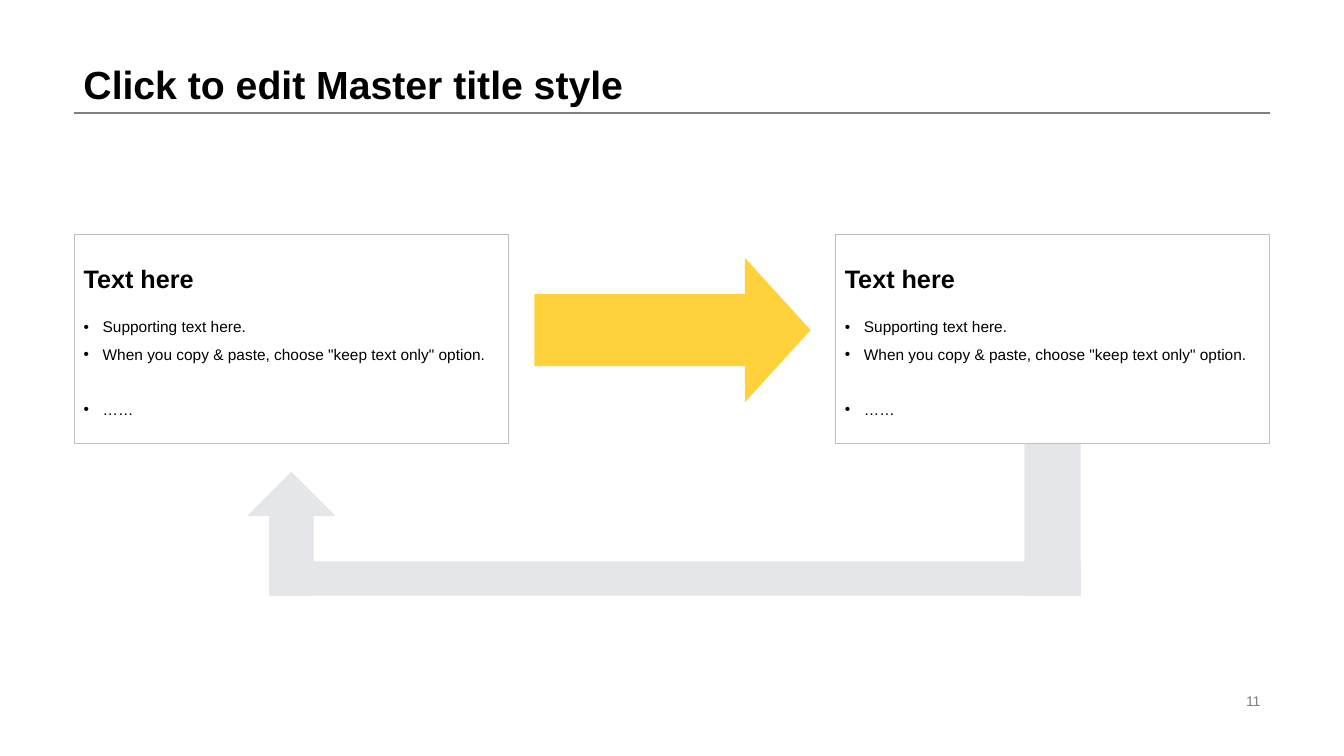
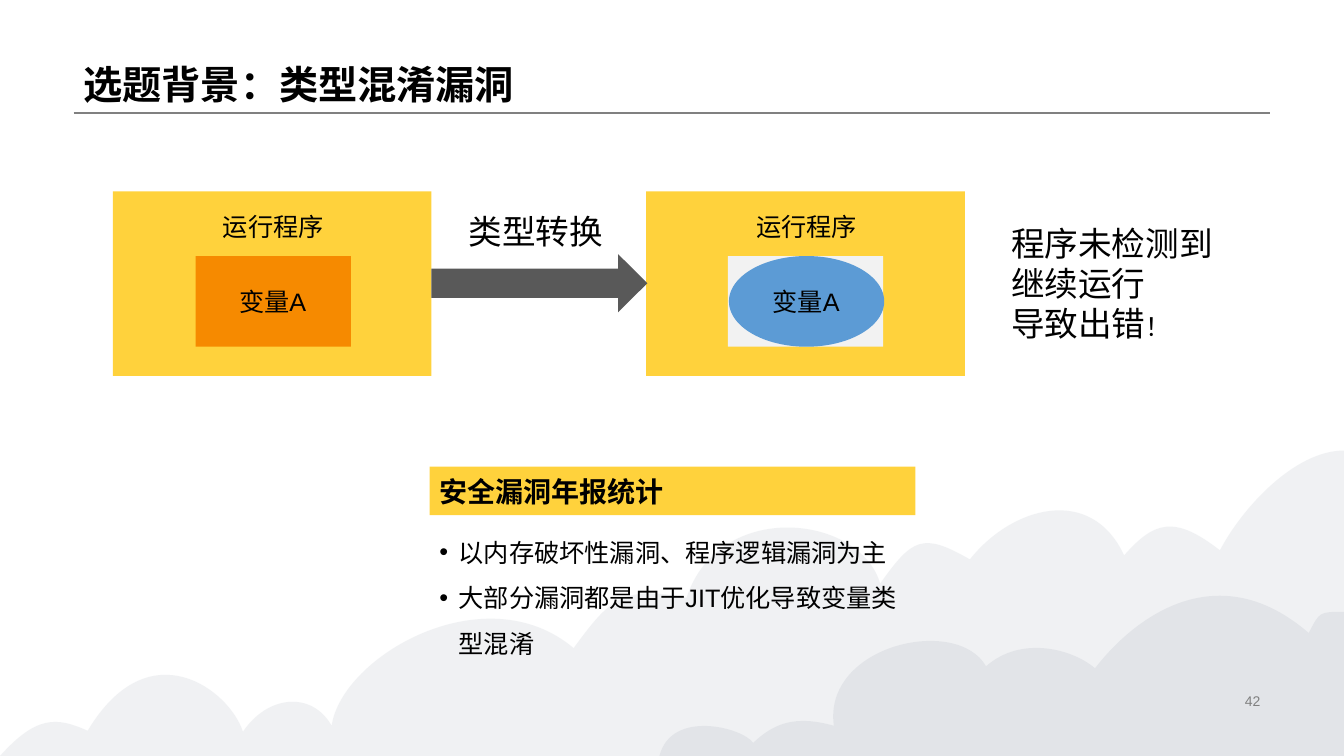
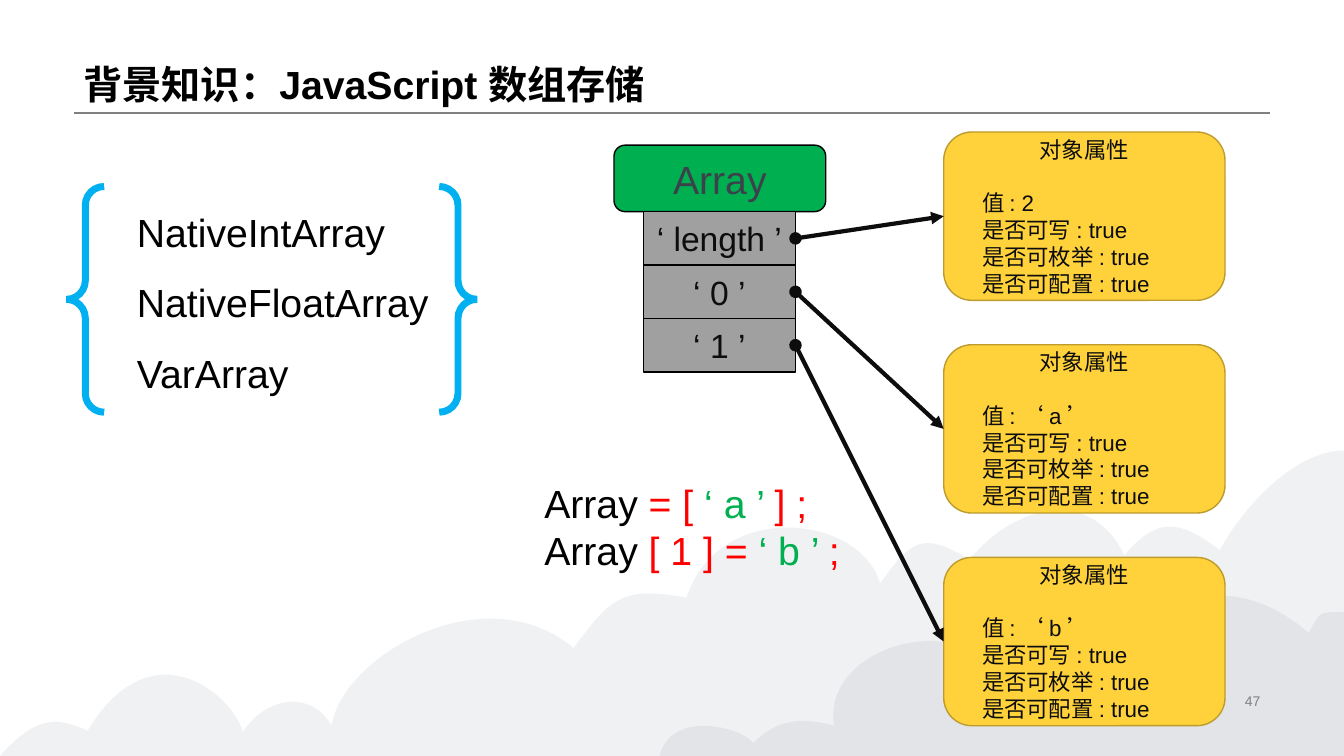
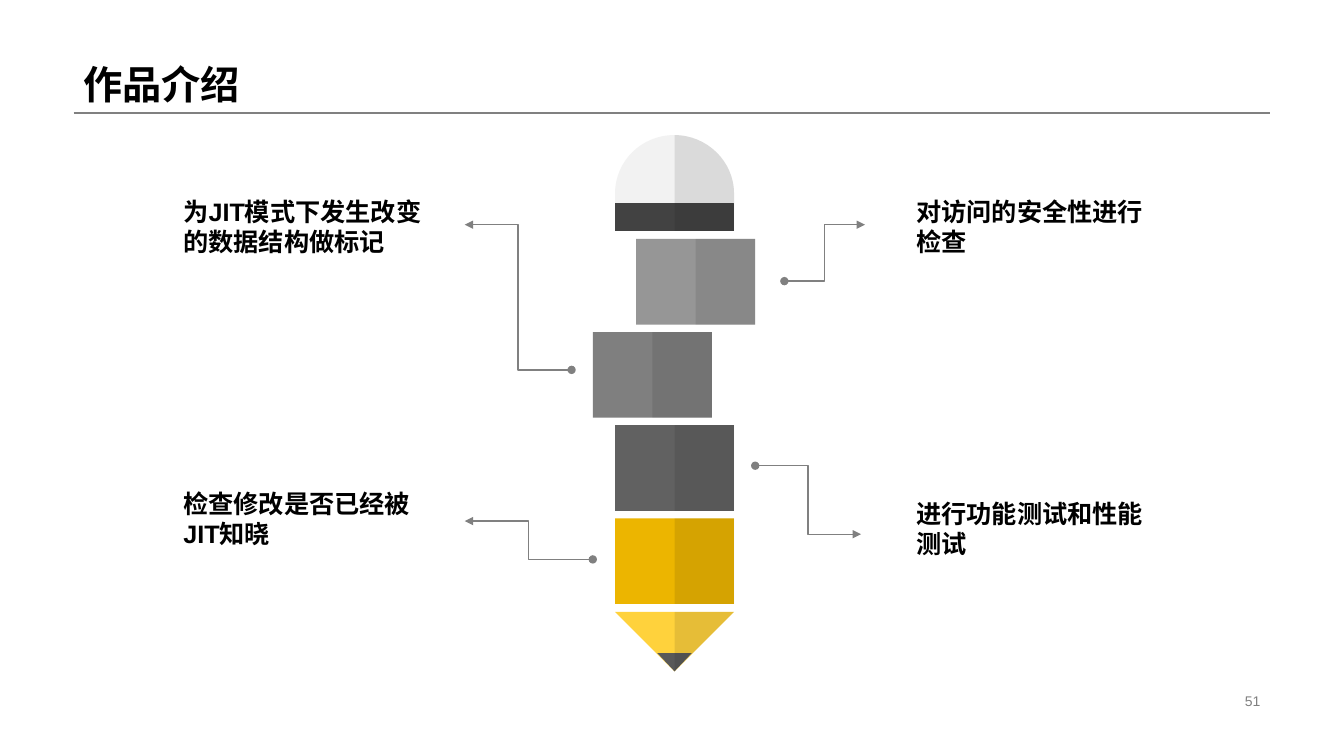
from pptx import Presentation
from pptx.dml.color import RGBColor
from pptx.enum.shapes import MSO_CONNECTOR as LINK, MSO_SHAPE as SHAPE
from pptx.enum.text import MSO_ANCHOR as ANCHOR, PP_ALIGN as ALIGN
from pptx.oxml.ns import qn
from pptx.util import Emu, Pt
from lxml.etree import SubElement

PX = 9144
WIDTH, HEIGHT = 1333, 750
FONT = "Arial"
BLACK, INK, GRAY, DARK = "000000", "0D0D0D", "808080", "595959"
YELLOW, MIST, GREEN, RED = "FFD23C", "E4E6EA", "00B050", "FF0000"

BACK_CLOUD = [
    (1333, 447), (1284, 447, 1232, 504, 1210, 546), (1165, 511, 1145, 517, 1115, 551),
    (1082, 480, 1003, 503, 962, 555), (915, 528, 905, 534, 873, 579),
    (853, 510, 713, 495, 681, 593), (617, 581, 605, 594, 569, 643),
    (481, 569, 339, 651, 329, 720), (309, 685, 265, 690, 241, 726),
    (228, 685, 148, 623, 87, 725), (56, 711, 36, 710, 0, 750), (1333, 750), (1333, 447),
]
FRONT_CLOUD = [
    (1333, 607), (1308, 607, 1309, 607, 1298, 628), (1209, 551, 1127, 610, 1086, 663),
    (1064, 644, 1013, 630, 978, 661), (949, 610, 816, 640, 827, 720),
    (788, 709, 767, 718, 747, 737), (737, 722, 666, 703, 654, 750), (1333, 750), (1333, 607),
]


def px(*lengths):
    return [Emu(round(length * PX)) for length in lengths]


def rgb(code):
    return RGBColor.from_string(code)


def paint(shape, fill=None, line=None, weight=1, opacity=None):
    shape.shadow.inherit = False
    if fill:
        shape.fill.solid()
        shape.fill.fore_color.rgb = rgb(fill)
        if opacity:
            color = shape.element.spPr.find(".//" + qn("a:srgbClr"))
            SubElement(color, qn("a:alpha"), val=str(opacity * 1000))
    else:
        shape.fill.background()
    if line:
        shape.line.color.rgb = rgb(line)
        shape.line.width = Pt(weight)
    else:
        shape.line.fill.background()
    return shape


def add_block(slide, kind, box, fill=None, **style):
    return paint(slide.shapes.add_shape(kind, *px(*box)), fill, **style)


def add_outline(slide, box, steps, fill, opacity=None):
    left, top, width, height = box
    right, bottom = left + width, top + height
    builder = slide.shapes.build_freeform(*px(left, top), scale=1.0)
    builder.add_line_segments([px(right, top), px(right, bottom), px(left, bottom)])
    shape = builder.convert_to_shape()
    route = shape.element.spPr.find(".//" + qn("a:path"))
    for corner in list(route):
        route.remove(corner)
    for index, step in enumerate(steps):
        tag = "a:moveTo" if index == 0 else "a:lnTo" if len(step) == 2 else "a:cubicBezTo"
        move = SubElement(route, qn(tag))
        for x, y in zip(step[::2], step[1::2]):
            across, down = px(x - left, y - top)
            SubElement(move, qn("a:pt"), x=str(across), y=str(down))
    SubElement(route, qn("a:close"))
    return paint(shape, fill, opacity=opacity)


def write(shape, lines, size, color=BLACK, bold=False, align=ALIGN.LEFT,
          anchor=ANCHOR.TOP, spacing=None, bullets=False):
    frame = shape.text_frame
    frame.word_wrap = True
    frame.vertical_anchor = anchor
    for index, line in enumerate(lines):
        paragraph = frame.paragraphs[0] if index == 0 else frame.add_paragraph()
        if bullets:
            properties = paragraph._p.get_or_add_pPr()
            properties.set("marL", str(19 * PX))
            properties.set("indent", str(-19 * PX))
            SubElement(properties, qn("a:buFont"), typeface=FONT)
            SubElement(properties, qn("a:buChar"), char="•")
        paragraph.alignment = align
        paragraph.line_spacing = spacing
        font = paragraph.font
        font.name, font.size, font.bold = FONT, Pt(size), bold
        font.color.rgb = rgb(color)
        if isinstance(line, str):
            paragraph.add_run().text = line
            continue
        for text, run_color, run_size in line:
            run = paragraph.add_run()
            run.text = text
            run.font.color.rgb = rgb(run_color)
            run.font.size = Pt(run_size)
    return frame.paragraphs


def add_text(slide, box, lines, size, **style):
    return write(slide.shapes.add_textbox(*px(*box)), lines, size, **style)


def add_link(slide, kind, start, end, color, weight, arrow=True):
    link = slide.shapes.add_connector(kind, *px(*start, *end))
    link.line.color.rgb = rgb(color)
    link.line.width = Pt(weight)
    if arrow:
        outline = link.line._get_or_add_ln()
        SubElement(outline, qn("a:headEnd"), type="oval")
        SubElement(outline, qn("a:tailEnd"), type="triangle")
    SubElement(link._element.spPr, qn("a:effectLst"))
    return link


def start_slide(deck, title, number, clouds=False):
    slide = deck.slides.add_slide(deck.slide_layouts[6])
    add_link(slide, LINK.STRAIGHT, (73, 112), (1260, 112), GRAY, 1, arrow=False)
    if clouds:
        add_outline(slide, (0, 447, 1333, 303), BACK_CLOUD, MIST, opacity=53)
        add_outline(slide, (654, 591, 679, 159), FRONT_CLOUD, "C9CED5", opacity=35)
    add_text(slide, (73, 0, 1187, 112), [title], 28, bold=True,
             anchor=ANCHOR.BOTTOM, spacing=0.9)
    add_text(slide, (942, 684, 318, 23), [str(number)], 10, color=GRAY,
             align=ALIGN.RIGHT, anchor=ANCHOR.MIDDLE)
    return slide


def add_card(slide, left):
    add_block(slide, SHAPE.RECTANGLE, (left, 232, 430, 208), line="BFBFBF", weight=0.5)
    points = ["Supporting text here.",
              'When you copy & paste, choose "keep text only" option.', "……"]
    paragraphs = add_text(slide, (left - 1, 301, 431, 128), points, 11,
                          spacing=1.5, bullets=True)
    paragraphs[-1].space_before = Pt(19.5)
    add_text(slide, (left - 1, 251, 431, 50), ["Text here"], 18, bold=True,
             anchor=ANCHOR.MIDDLE)


def build_cycle(deck):
    slide = start_slide(deck, "Click to edit Master title style", 11)
    add_block(slide, SHAPE.RECTANGLE, (1016, 440, 56, 151), MIST)
    for left in (74, 829):
        add_card(slide, left)
    forward = add_block(slide, SHAPE.RIGHT_ARROW, (530, 256, 274, 143), YELLOW)
    forward.adjustments[1] = 0.455
    add_block(slide, SHAPE.UP_ARROW, (245, 468, 88, 123), MIST)
    add_block(slide, SHAPE.RECTANGLE, (268, 557, 804, 34), MIST)


def add_program(slide, left, variable, color):
    add_block(slide, SHAPE.RECTANGLE, (left, 190, 316, 183), YELLOW)
    add_text(slide, (left + 82, 205, 154, 40), ["运行程序"], 18, align=ALIGN.CENTER)
    if variable == SHAPE.OVAL:
        add_block(slide, SHAPE.RECTANGLE, (left + 81, 254, 154, 90), "F2F2F2")
    add_block(slide, variable, (left + 82, 254, 154, 90), color)
    add_text(slide, (left + 110, 279, 97, 40), ["变量A"], 18, align=ALIGN.CENTER)


def build_confusion(deck):
    slide = start_slide(deck, "选题背景：类型混淆漏洞", 42, clouds=True)
    add_program(slide, 112, SHAPE.RECTANGLE, "F68A00")
    add_program(slide, 641, SHAPE.OVAL, "5C9BD5")
    add_block(slide, SHAPE.RIGHT_ARROW, (428, 252, 214, 58), DARK)
    add_text(slide, (455, 204, 159, 50), ["类型转换"], 24)
    add_text(slide, (993, 216, 254, 131),
             ["程序未检测到", "继续运行", [("导致出错", BLACK, 24), ("！", BLACK, 18)]], 24)
    heading = add_block(slide, SHAPE.RECTANGLE, (426, 463, 482, 48), YELLOW)
    write(heading, ["安全漏洞年报统计"], 20, bold=True, anchor=ANCHOR.MIDDLE)
    add_text(slide, (426, 513, 482, 180),
             ["以内存破坏性漏洞、程序逻辑漏洞为主", "大部分漏洞都是由于JIT优化导致变量类型混淆"],
             18, spacing=1.5, bullets=True)


def add_attributes(slide, top, value):
    card = add_block(slide, SHAPE.ROUNDED_RECTANGLE, (936, top, 279, 167), YELLOW, line="BD9B2C")
    lines = ["对象属性", f"值 : {value}", "是否可写 : true", "是否可枚举 : true", "是否可配置 : true"]
    heading, *details = write(card, lines, 16, color=INK, anchor=ANCHOR.MIDDLE)
    heading.alignment = ALIGN.CENTER
    details[0].space_before = Pt(19)
    for detail in details:
        detail._p.get_or_add_pPr().set("marL", str(20 * PX))
    return card


def build_storage(deck):
    slide = start_slide(deck, "背景知识：JavaScript 数组存储", 47, clouds=True)
    array = add_block(slide, SHAPE.ROUNDED_RECTANGLE, (609, 144, 210, 66), GREEN, line=BLACK)
    write(array, ["Array"], 28, color="3B424B", align=ALIGN.CENTER, anchor=ANCHOR.MIDDLE)
    entries = [("‘ length ’", "2"), ("‘ 0 ’", "‘ a ’"), ("‘ 1 ’", "‘ b ’")]
    for row, (key, value) in enumerate(entries):
        cell = add_block(slide, SHAPE.RECTANGLE, (638, 210 + 53 * row, 151, 53),
                         "A0A0A0", line=BLACK)
        write(cell, [key], 24, color=INK, align=ALIGN.CENTER, anchor=ANCHOR.MIDDLE)
        card = add_attributes(slide, 131 + 211 * row, value)
        pointer = add_link(slide, LINK.STRAIGHT, (789, 237), (936, 214), INK, 3)
        pointer.begin_connect(cell, 3)
        pointer.end_connect(card, 1)
    code = [
        [("Array ", BLACK), ("= [ ", RED), ("‘ a ’ ", GREEN), ("] ;", RED)],
        [("Array ", BLACK), ("[ 1 ] = ", RED), ("‘ b ’ ", GREEN), (";", RED)],
    ]
    add_text(slide, (530, 471, 331, 104),
             [[(text, color, 28) for text, color in line] for line in code], 28)
    add_text(slide, (126, 178, 343, 213),
             ["NativeIntArray", "NativeFloatArray", "VarArray"], 28, spacing=1.5)
    braces = add_block(slide, SHAPE.DOUBLE_BRACE, (66, 185, 407, 224), line="00B0F0", weight=5)
    SubElement(braces.line._get_or_add_ln(), qn("a:miter"), lim="800000")


def build_pencil(deck):
    slide = start_slide(deck, "作品介绍", 51)
    shade = {"fill": INK, "opacity": 10}
    segments = [(631, "969696"), (588, "7F7F7F"), (610, "616161"), (610, "ECB500")]
    for row, (left, color) in enumerate(segments):
        top = 237 + 92.4 * row
        add_block(slide, SHAPE.RECTANGLE, (left, top, 118, 85), color)
        add_block(slide, SHAPE.RECTANGLE, (left + 59, top, 59, 85), **shade)
    add_outline(slide, (610, 134, 118, 74),
                [(728, 208), (610, 208), (610, 192), (610, 160, 636, 134, 669, 134),
                 (701, 134, 728, 160, 728, 192)], "F2F2F2")
    add_block(slide, SHAPE.RECTANGLE, (610, 202, 118, 27), "424242", line="424242", weight=0.75)
    add_outline(slide, (669, 134, 59, 95),
                [(669, 134), (669, 229), (728, 229), (728, 192),
                 (728, 160, 701, 134, 669, 134)], **shade)
    add_outline(slide, (610, 607, 118, 59), [(669, 666), (610, 607), (728, 607)], YELLOW)
    add_outline(slide, (652, 648, 34, 18), [(669, 666), (686, 648), (652, 648)], DARK)
    add_outline(slide, (669, 607, 59, 59), [(669, 666), (728, 607), (669, 607)], **shade)
    notes = [
        ((172, 190), "为JIT模式下发生改变的数据结构做标记", (567, 367), (461, 223)),
        ((172, 479), "检查修改是否已经被JIT知晓", (588, 555), (461, 517)),
        ((899, 190), "对访问的安全性进行检查", (778, 279), (858, 223)),
        ((899, 489), "进行功能测试和性能测试", (749, 462), (854, 530)),
    ]
    for corner, label, start, end in notes:
        add_link(slide, LINK.ELBOW, start, end, GRAY, 1)
        add_text(slide, (*corner, 267, 71), [label], 18, bold=True)


def main():
    deck = Presentation()
    deck.slide_width, deck.slide_height = px(WIDTH, HEIGHT)
    for build in (build_cycle, build_confusion, build_storage, build_pencil):
        build(deck)
    deck.save("out.pptx")


if __name__ == "__main__":
    main()
